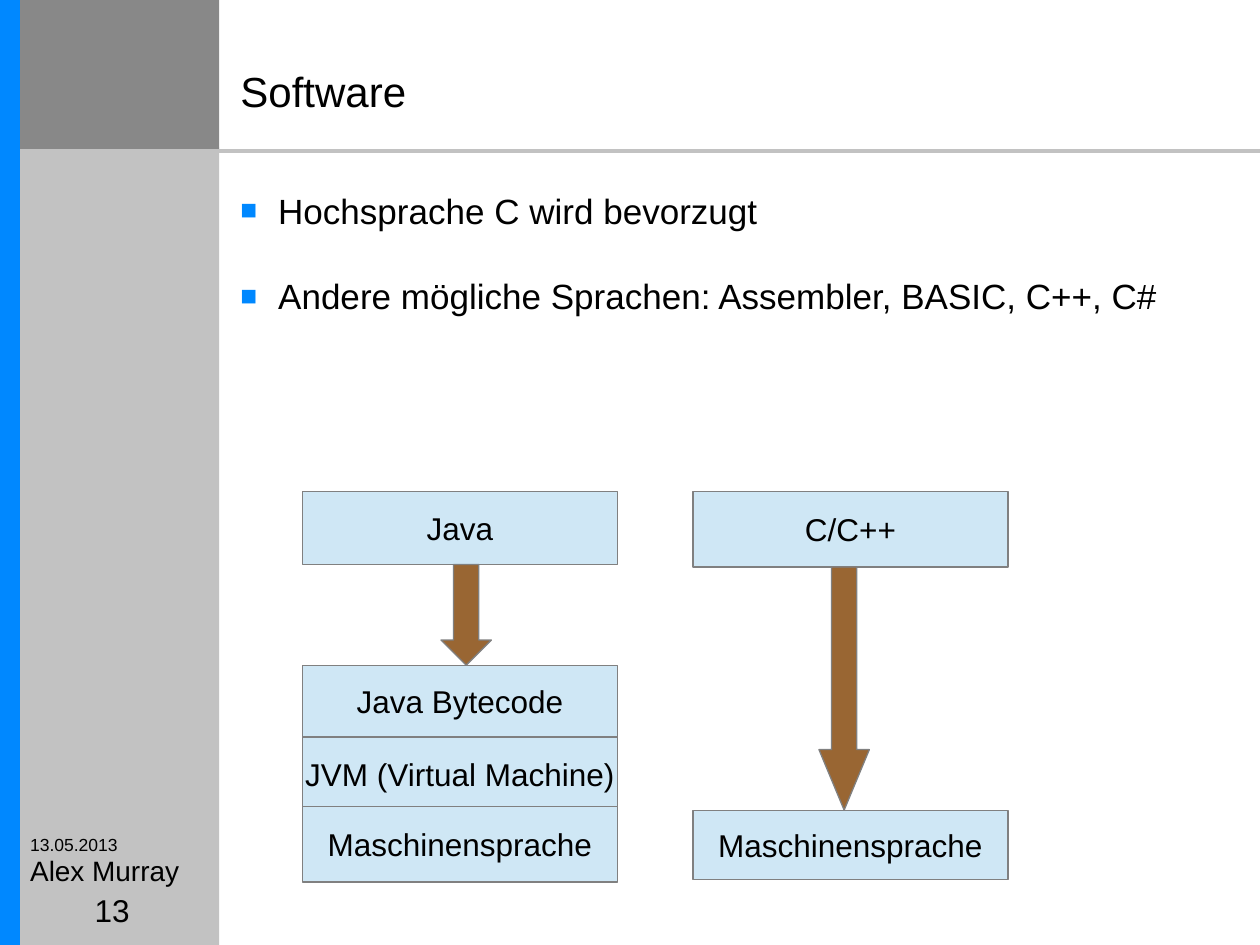
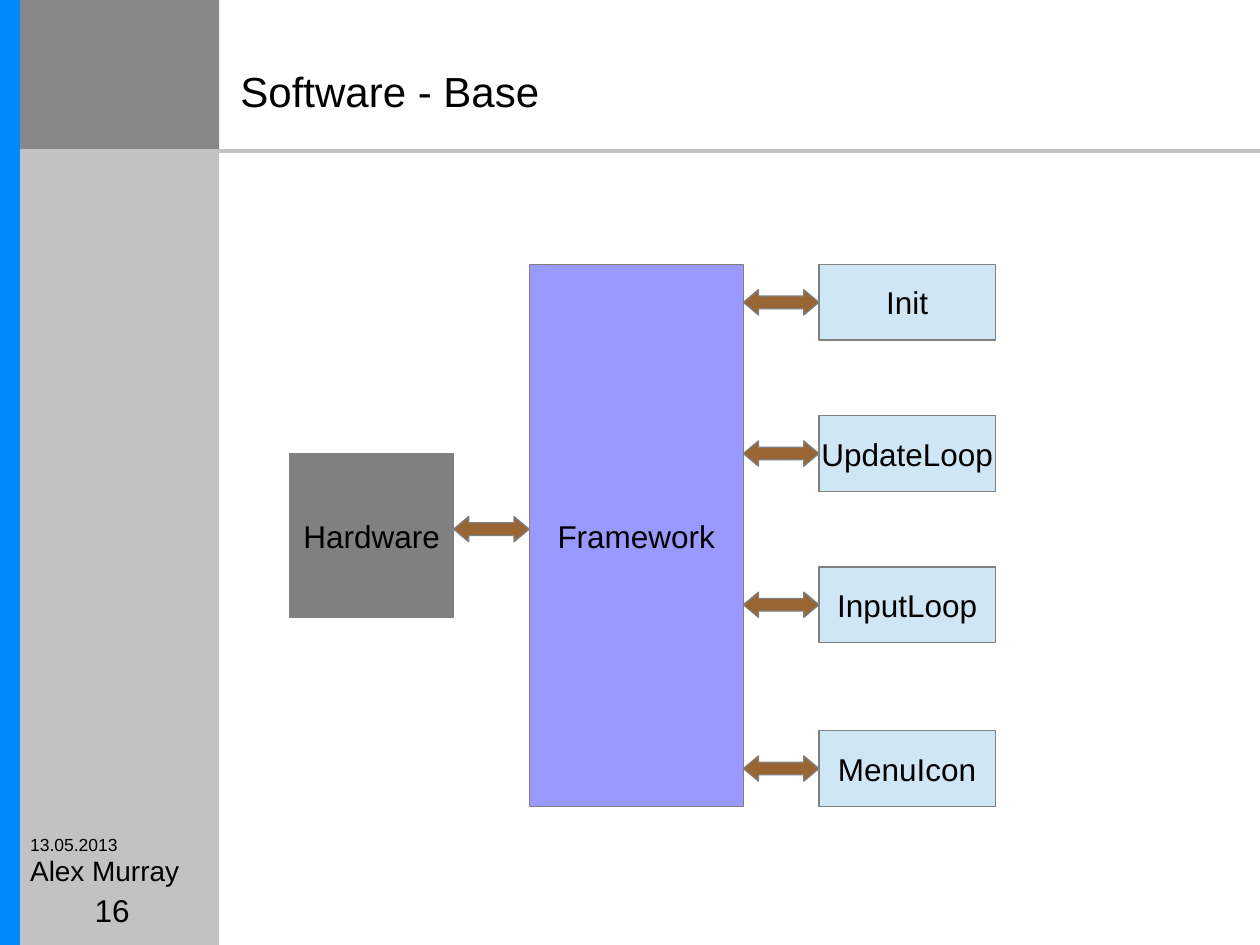
from dataclasses import dataclass

from lxml import etree
from pptx import Presentation
from pptx.dml.color import RGBColor as Color
from pptx.enum.shapes import MSO_CONNECTOR as Connector, MSO_SHAPE as Shape
from pptx.enum.text import MSO_ANCHOR as Anchor, PP_ALIGN as Align
from pptx.oxml.ns import qn
from pptx.util import Inches, Pt


@dataclass(frozen=True)
class Theme:
    font: str = "Arial"
    black: str = "000000"
    white: str = "FFFFFF"
    accent: str = "0088FF"
    band: str = "C2C2C2"
    corner: str = "888888"
    pale: str = "CFE7F5"
    violet: str = "9999FF"
    gray: str = "808080"
    brown: str = "996633"
    title_size: int = 24
    body_size: int = 20
    label_size: int = 18
    author_size: int = 16
    date_size: int = 10


theme = Theme()


def add_block(page, kind, area, fill, outline=None, label=None):
    block = page.shapes.add_shape(kind, *map(Inches, area))
    block.shadow.inherit = False
    block.fill.solid()
    block.fill.fore_color.rgb = Color.from_string(fill)
    if outline:
        block.line.color.rgb = Color.from_string(outline)
        block.line.width = Pt(0)
    else:
        block.line.fill.background()
    if label:
        frame = block.text_frame
        frame.word_wrap = False
        frame.vertical_anchor = Anchor.MIDDLE
        para = frame.paragraphs[0]
        para.text = label
        para.alignment = Align.CENTER
        para.font.name = theme.font
        para.font.size = Pt(theme.label_size)
        para.font.color.rgb = Color.from_string(theme.black)
    return block


def add_text(page, area, lines, size, align=Align.LEFT, inset=True):
    box = page.shapes.add_textbox(*map(Inches, area))
    frame = box.text_frame
    frame.word_wrap = True
    if not inset:
        frame.margin_left = frame.margin_right = 0
        frame.margin_top = frame.margin_bottom = 0
        frame.vertical_anchor = Anchor.MIDDLE
    frame.text = "\n".join(lines)
    for para in frame.paragraphs:
        para.alignment = align
        para.font.name = theme.font
        para.font.size = Pt(size)
        para.font.color.rgb = Color.from_string(theme.black)
    return box


deck = Presentation()
deck.slide_width, deck.slide_height = Inches(10), Inches(7.5)

pages = []
for title, number in [("Software", "13"), ("Software - Base", "16")]:
    page = deck.slides.add_slide(deck.slide_layouts[6])
    pages.append(page)
    for area, fill in [
        ((0, 0, 10, 7.5), theme.white),
        ((0, 0, 0.16, 7.5), theme.accent),
        ((0.16, 1.17, 1.58, 6.33), theme.band),
        ((0.16, 0, 1.58, 1.19), theme.corner),
    ]:
        add_block(page, Shape.RECTANGLE, area, fill)
    for ends in [(1.72, 1.19, 1.72, 7.5), (0.16, 1.2, 10, 1.2)]:
        rule = page.shapes.add_connector(Connector.STRAIGHT, *map(Inches, ends))
        rule.line.color.rgb = Color.from_string(theme.band)
        rule.line.width = Pt(2)
        etree.SubElement(rule.line._get_or_add_ln().getparent(), qn("a:effectLst"))
    add_text(page, (1.81, 0.47, 6.12, 0.5), [title], theme.title_size)
    for top, height, text, size, align in [
        (6.6, 0.2, "13.05.2013", theme.date_size, Align.LEFT),
        (6.75, 0.31, "Alex Murray", theme.author_size, Align.LEFT),
        (6.92, 0.61, number, theme.label_size, Align.CENTER),
    ]:
        add_text(page, (0.24, top, 1.3, height), [text], size, align, inset=False)

languages, base = pages

bullets = add_text(
    languages,
    (1.81, 1.42, 7.87, 5.83),
    ["Hochsprache C wird bevorzugt", "Andere mögliche Sprachen: Assembler, BASIC, C++, C#"],
    theme.body_size,
)
for para in bullets.text_frame.paragraphs:
    para.line_spacing = 1.1
    para.space_before = Pt(22.5)
    properties = para._p.get_or_add_pPr()
    properties.set("marL", str(Inches(0.3)))
    properties.set("indent", str(-Inches(0.3)))
    marks = [
        etree.Element(qn("a:buClr")),
        etree.Element(qn("a:buSzPct"), val="80000"),
        etree.Element(qn("a:buFont"), typeface=theme.font),
        etree.Element(qn("a:buChar"), char="■"),
    ]
    etree.SubElement(marks[0], qn("a:srgbClr"), val=theme.accent)
    defaults = properties.find(qn("a:defRPr"))
    for mark in marks:
        defaults.addprevious(mark)

for left, top, height, label in [
    (2.4, 3.9, 0.58, "Java"),
    (2.4, 5.28, 0.57, "Java Bytecode"),
    (2.4, 5.85, 0.58, "JVM (Virtual Machine)"),
    (2.4, 6.4, 0.6, "Maschinensprache"),
    (5.5, 3.9, 0.6, "C/C++"),
    (5.5, 6.43, 0.55, "Maschinensprache"),
]:
    add_block(languages, Shape.RECTANGLE, (left, top, 2.5, height), theme.pale, theme.gray, label)

for left, top, height, head in [(3.5, 4.48, 0.8, 0.5), (6.5, 4.5, 1.93, 1.2)]:
    arrow = add_block(languages, Shape.DOWN_ARROW, (left, top, 0.4, height), theme.brown, theme.gray)
    arrow.adjustments[1] = head

add_block(base, Shape.RECTANGLE, (4.2, 2.1, 1.7, 4.3), theme.violet, theme.gray, "Framework")
add_block(base, Shape.RECTANGLE, (2.3, 3.6, 1.3, 1.3), theme.gray, theme.gray, "Hardware")

links = [(3.6, 4.1)]
for top, label in [(2.1, "Init"), (3.3, "UpdateLoop"), (4.5, "InputLoop"), (5.8, "MenuIcon")]:
    add_block(base, Shape.RECTANGLE, (6.5, top, 1.4, 0.6), theme.pale, theme.gray, label)
    links.append((5.9, top + 0.2))

for left, top in links:
    arrow = add_block(base, Shape.LEFT_RIGHT_ARROW, (left, top, 0.6, 0.2), theme.brown, theme.gray)
    arrow.adjustments[1] = 0.6

deck.save("out.pptx")
